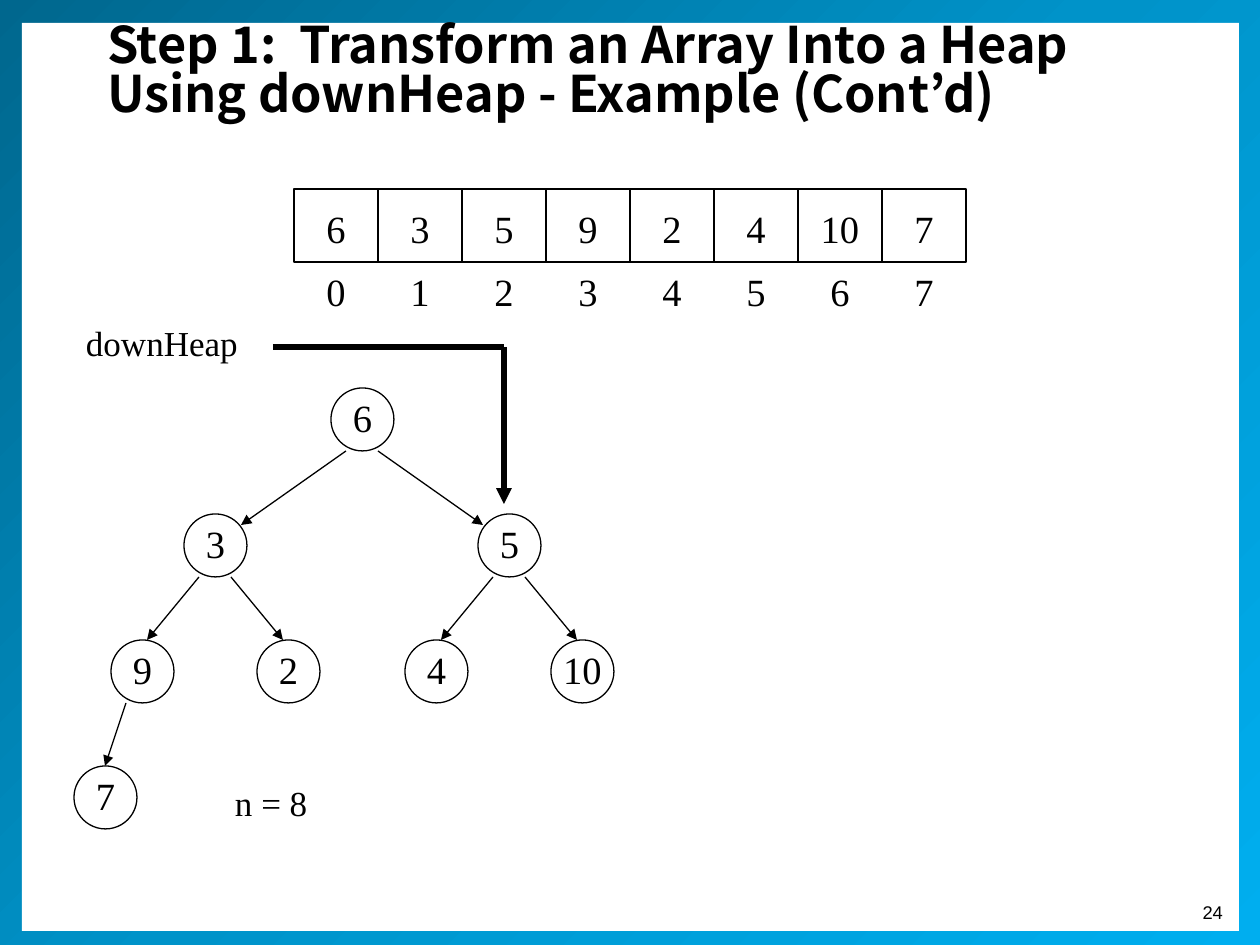
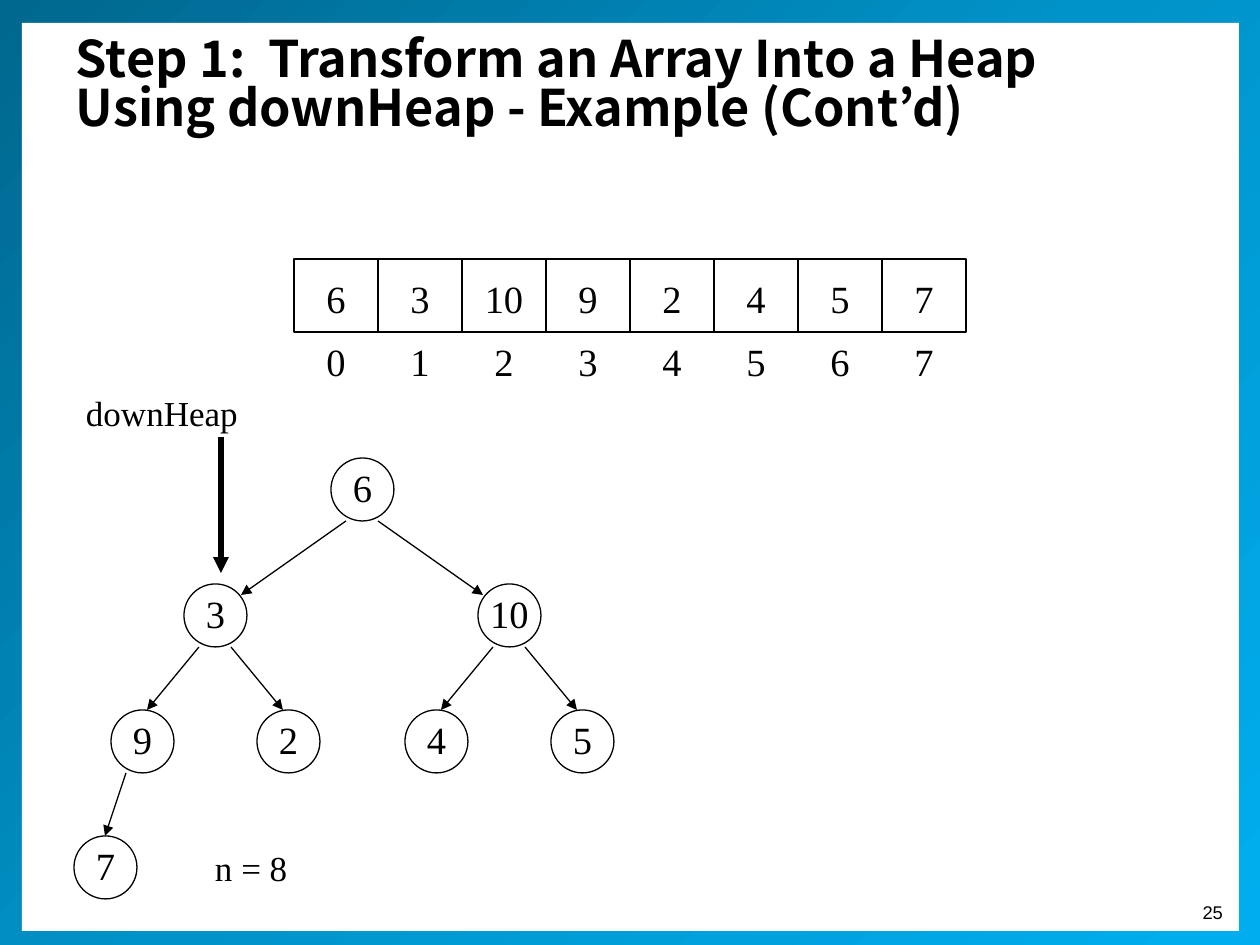
"""Build two slides that follow downHeap as it turns an array into a heap."""
from dataclasses import dataclass

from lxml.etree import SubElement
from pptx import Presentation
from pptx.dml.color import RGBColor as RGB
from pptx.enum.shapes import MSO_CONNECTOR as CONN, MSO_SHAPE as SHAPE
from pptx.enum.text import MSO_ANCHOR as ANCHOR, MSO_AUTO_SIZE as AUTO, PP_ALIGN as ALIGN
from pptx.oxml.ns import qn
from pptx.util import Pt

PX = 7257


@dataclass(frozen=True)
class Theme:
    ink: str = "000000"
    paper: str = "FFFFFF"
    backdrop: str = "D9D9D9"
    band: tuple = ((0, "00678E"), (50, "0093C9"), (100, "00AEEF"))
    title_font: str = "Noto Sans CJK KR"
    body_font: str = "Times New Roman"
    number_font: str = "Arial"
    title_size: float = 28.8
    value_size: float = 22
    label_size: float = 20
    number_size: float = 10.5
    thin: float = 0.75
    thick: float = 3


T = Theme()


def write(sp, text, size=T.value_size, font=T.body_font, bold=False, align=ALIGN.LEFT,
          anchor=ANCHOR.TOP, spacing=None, margins=(13, 6, 13, 6)):
    tf = sp.text_frame
    tf.word_wrap = True
    tf.auto_size = AUTO.NONE
    tf.vertical_anchor = anchor
    tf.margin_left, tf.margin_top, tf.margin_right, tf.margin_bottom = [m * PX for m in margins]
    p = tf.paragraphs[0]
    p.alignment = align
    p.line_spacing = spacing
    r = p.add_run()
    r.text = text
    r.font.size = Pt(size)
    r.font.name = font
    r.font.bold = bold
    r.font.color.rgb = RGB.from_string(T.ink)


def draw_line(s, start, end, width=T.thin, arrow=True):
    c = s.shapes.add_connector(CONN.STRAIGHT, *[v * PX for v in (*start, *end)])
    c.line.color.rgb = RGB.from_string(T.ink)
    c.line.width = Pt(width)
    sp_pr = c.element.spPr
    if arrow:
        SubElement(sp_pr.find(qn("a:ln")), qn("a:tailEnd"), type="triangle")
    SubElement(sp_pr, qn("a:effectLst"))


TITLE = "Step 1:  Transform an Array Into a Heap Using downHeap - Example (Cont’d)"
STEPS = [
    dict(number=24, title_box=(94, 1, 1071, 144), top=189, values=[6, 3, 5, 9, 2, 4, 10, 7],
         pointer=[(273, 347), (504, 347), (504, 504)], count_at=(222, 775)),
    dict(number=25, title_box=(63, 38, 1134, 98), top=259, values=[6, 3, 10, 9, 2, 4, 5, 7],
         pointer=[(221, 437), (221, 573)], count_at=(202, 840)),
]
CELL_LEFT, CELL_W, CELL_H = 294, 84, 73
NODE, LEVEL_GAP, ROOT_X, ROOT_DROP = 63, 126, 362, 199
EDGE_START = 16
SPREAD = {1: 147, 2: 73, 3: 37}
EDGE_END = {1: (26, 11), 2: (5, 0), 3: (0, 0)}

prs = Presentation()
prs.slide_width, prs.slide_height = 1260 * PX, 945 * PX
layout = prs.slide_layouts[5]
layout.background.fill.solid()
layout.background.fill.fore_color.rgb = RGB.from_string(T.backdrop)

slides = [prs.slides.add_slide(layout) for _ in STEPS]

band = slides[0].shapes.add_shape(SHAPE.RECTANGLE, 0, 0, 1260 * PX, 945 * PX)
band.fill.gradient()
band.fill.gradient_angle = 315
stops = band.element.spPr.find(qn("a:gradFill")).find(qn("a:gsLst"))
for stop in list(stops):
    stops.remove(stop)
for percent, colour in T.band:
    stop = SubElement(stops, qn("a:gs"), pos=str(percent * 1000))
    SubElement(stop, qn("a:srgbClr"), val=colour)
paper = slides[0].shapes.add_shape(SHAPE.RECTANGLE, 22 * PX, 23 * PX, 1217 * PX, 908 * PX)
paper.fill.solid()
paper.fill.fore_color.rgb = RGB.from_string(T.paper)
for position, sp in enumerate((band, paper), start=2):
    sp.line.fill.background()
    sp.shadow.inherit = False
    layout.shapes.element.insert(position, sp.element)

for s, step in zip(slides, STEPS):
    title = s.shapes.title
    title.left, title.top, title.width, title.height = [v * PX for v in step["title_box"]]
    write(title, TITLE, size=T.title_size, font=T.title_font, bold=True,
          anchor=ANCHOR.MIDDLE, spacing=0.82)

    top = step["top"]
    boxes = []
    centres = []
    for i, value in enumerate(step["values"]):
        x = CELL_LEFT + i * CELL_W
        boxes.append((SHAPE.RECTANGLE, x, top, CELL_W, CELL_H, value, (0, 6, 0, 0)))
        index = s.shapes.add_textbox((x + 21) * PX, (top + CELL_H) * PX, 42 * PX, 59 * PX)
        write(index, str(i), align=ALIGN.CENTER, margins=(0, 6, 0, 6))

        depth = (i + 1).bit_length() - 1
        node_top = top + ROOT_DROP + depth * LEVEL_GAP
        cx = ROOT_X
        if depth:
            side = -1 if i % 2 else 1
            parent_x = centres[(i - 1) // 2]
            cx = parent_x + side * SPREAD[depth]
            dx, dy = EDGE_END[depth]
            draw_line(s, (parent_x + side * EDGE_START, node_top - LEVEL_GAP + NODE),
                      (cx - side * dx, node_top + dy))
        centres.append(cx)
        boxes.append((SHAPE.OVAL, cx - NODE // 2, node_top, NODE, NODE, value, (0, 0, 0, 4)))

    for kind, x, y, w, h, value, margins in boxes:
        sp = s.shapes.add_shape(kind, x * PX, y * PX, w * PX, h * PX)
        sp.fill.background()
        sp.line.color.rgb = RGB.from_string(T.ink)
        sp.line.width = Pt(T.thin)
        sp.shadow.inherit = False
        write(sp, str(value), align=ALIGN.CENTER, anchor=ANCHOR.MIDDLE, margins=margins)

    pointer = step["pointer"]
    for start, end in zip(pointer, pointer[1:]):
        draw_line(s, start, end, width=T.thick, arrow=end == pointer[-1])

    for text, (x, y), w in (("downHeap", (73, top + 126), 190), ("n = 8", step["count_at"], 287)):
        label = s.shapes.add_textbox(x * PX, y * PX, w * PX, 55 * PX)
        write(label, text, size=T.label_size)

    number = s.shapes.add_textbox(1187 * PX, 895 * PX, 49 * PX, 35 * PX)
    write(number, str(step["number"]), size=T.number_size, font=T.number_font, align=ALIGN.RIGHT)

prs.save("out.pptx")
